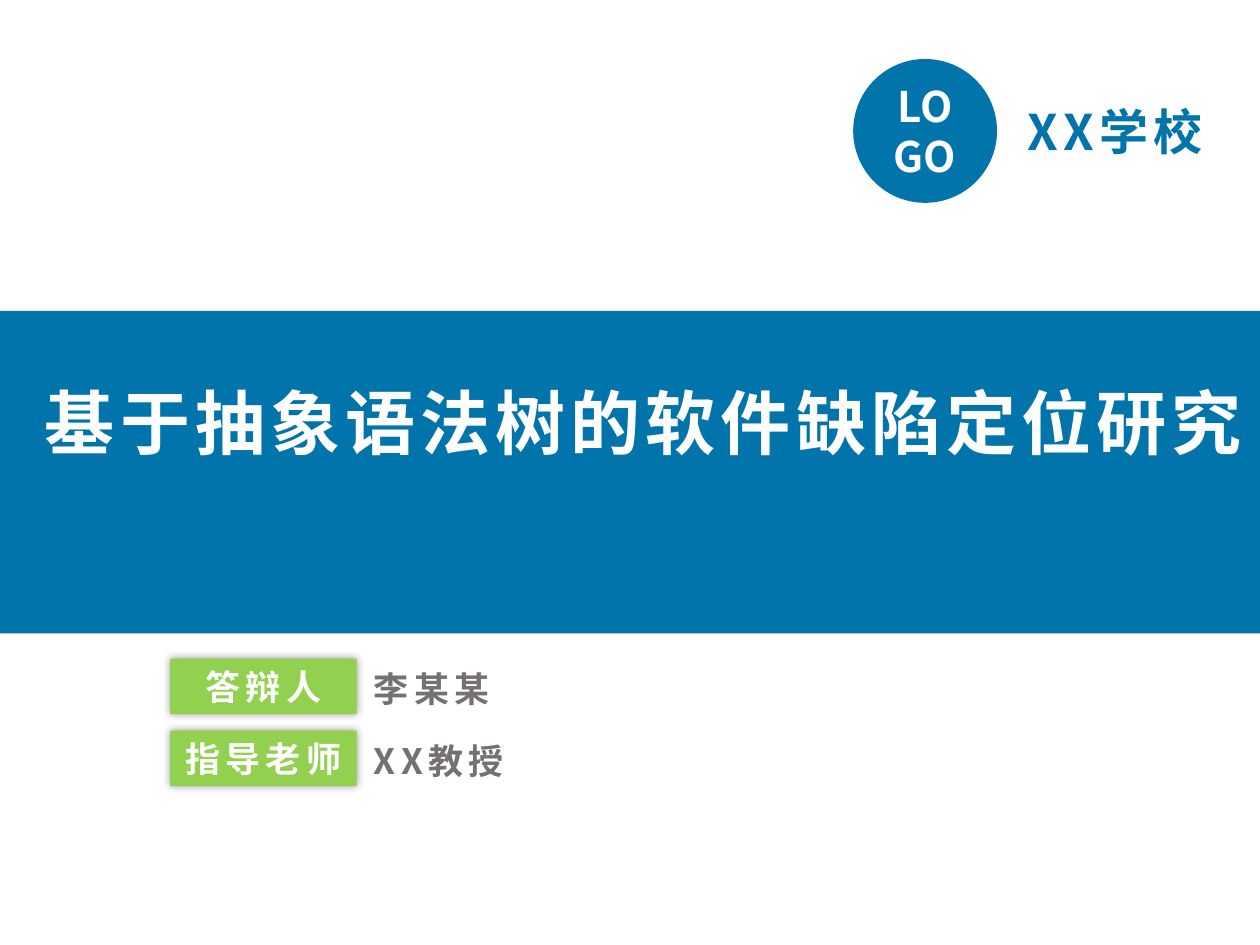
from dataclasses import dataclass

from lxml import etree
from pptx import Presentation
from pptx.dml.color import RGBColor
from pptx.enum.shapes import MSO_SHAPE
from pptx.enum.text import MSO_ANCHOR, PP_ALIGN
from pptx.oxml.ns import qn
from pptx.util import Cm, Pt

RECT, OVAL = MSO_SHAPE.RECTANGLE, MSO_SHAPE.OVAL
LEFT, MID = PP_ALIGN.LEFT, PP_ALIGN.CENTER
TOP, CENTER = MSO_ANCHOR.TOP, MSO_ANCHOR.MIDDLE


@dataclass(frozen=True)
class Theme:
    font: str = "Noto Sans CJK SC"
    blue: str = "0174AB"
    green: str = "92D14F"
    gray: str = "767171"
    white: str = "FFFFFF"
    title: int = 40
    school: int = 28
    badge: int = 24
    label: int = 20


THEME = Theme()


def write(shape, text, size, color, align=LEFT, anchor=TOP, gap=3):
    """Put bold text in a shape; gap is the letter spacing in points."""
    frame = shape.text_frame
    frame.word_wrap = True
    frame.vertical_anchor = anchor
    para = frame.paragraphs[0]
    para.alignment = align
    run = para.add_run()
    run.text = text
    font = run.font
    font.size, font.bold, font.name = Pt(size), True, THEME.font
    font.color.rgb = RGBColor.from_string(color)
    props = run._r.get_or_add_rPr()
    if gap:
        props.set("spc", str(gap * 100))
    etree.SubElement(props, qn("a:ea"), typeface=THEME.font)


def label(slide, box, text, size, color, **style):
    area = slide.shapes.add_textbox(*map(Cm, box))
    write(area, text, size, color, **style)


def block(slide, kind, box, fill):
    shape = slide.shapes.add_shape(kind, *map(Cm, box))
    shape.fill.solid()
    shape.fill.fore_color.rgb = RGBColor.from_string(fill)
    shape.line.fill.background()
    shape.shadow.inherit = False
    return shape


def glow(shape):
    """Add a soft, centred black shadow."""
    effects = shape._element.spPr.find(qn("a:effectLst"))
    shade = etree.SubElement(effects, qn("a:outerShdw"), blurRad=str(Pt(5)),
                             dist="0", dir="0", algn="ctr", rotWithShape="0")
    color = etree.SubElement(shade, qn("a:srgbClr"), val="000000")
    etree.SubElement(color, qn("a:alpha"), val="40000")


def header(slide, x, y, size):
    # Round badge with the school name beside it
    badge = block(slide, OVAL, (x, y, size, size), THEME.blue)
    write(badge, "LOGO", THEME.badge, THEME.white,
          align=MID, anchor=CENTER, gap=0)
    high = 1.45
    label(slide, (x + size + 0.37, y + (size - high) / 2, 4.5, high),
          "XX学校", THEME.school, THEME.blue)


def banner(slide, x, y, wide, high):
    # Full-width band with the thesis title
    block(slide, RECT, (x, y, wide, high), THEME.blue)
    inset = 0.56
    label(slide, (x + inset, y + 1.25, wide - inset, 1.96),
          "基于抽象语法树的软件缺陷定位研究", THEME.title, THEME.white, align=MID)


def people(slide, x, y, rows):
    # Green role tags, each followed by a name
    wide, high, pitch = 3.76, 1.12, 1.45
    for i, (role, name) in enumerate(rows):
        top = y + i * pitch
        tag = block(slide, RECT, (x, top, wide, high), THEME.green)
        glow(tag)
        write(tag, role, THEME.label, THEME.white, align=MID, anchor=CENTER)
        label(slide, (x + wide + 0.1, top + 0.05, 4.5, high),
              name, THEME.label, THEME.gray)


def main():
    deck = Presentation()
    deck.slide_width, deck.slide_height = Cm(25.4), Cm(19.05)
    slide = deck.slides.add_slide(deck.slide_layouts[6])
    header(slide, 17.2, 1.19, 2.9)
    banner(slide, 0, 6.27, 25.4, 6.5)
    people(slide, 3.43, 13.28, [("答辩人", "李某某"), ("指导老师", "XX教授")])
    deck.save("out.pptx")


if __name__ == "__main__":
    main()
